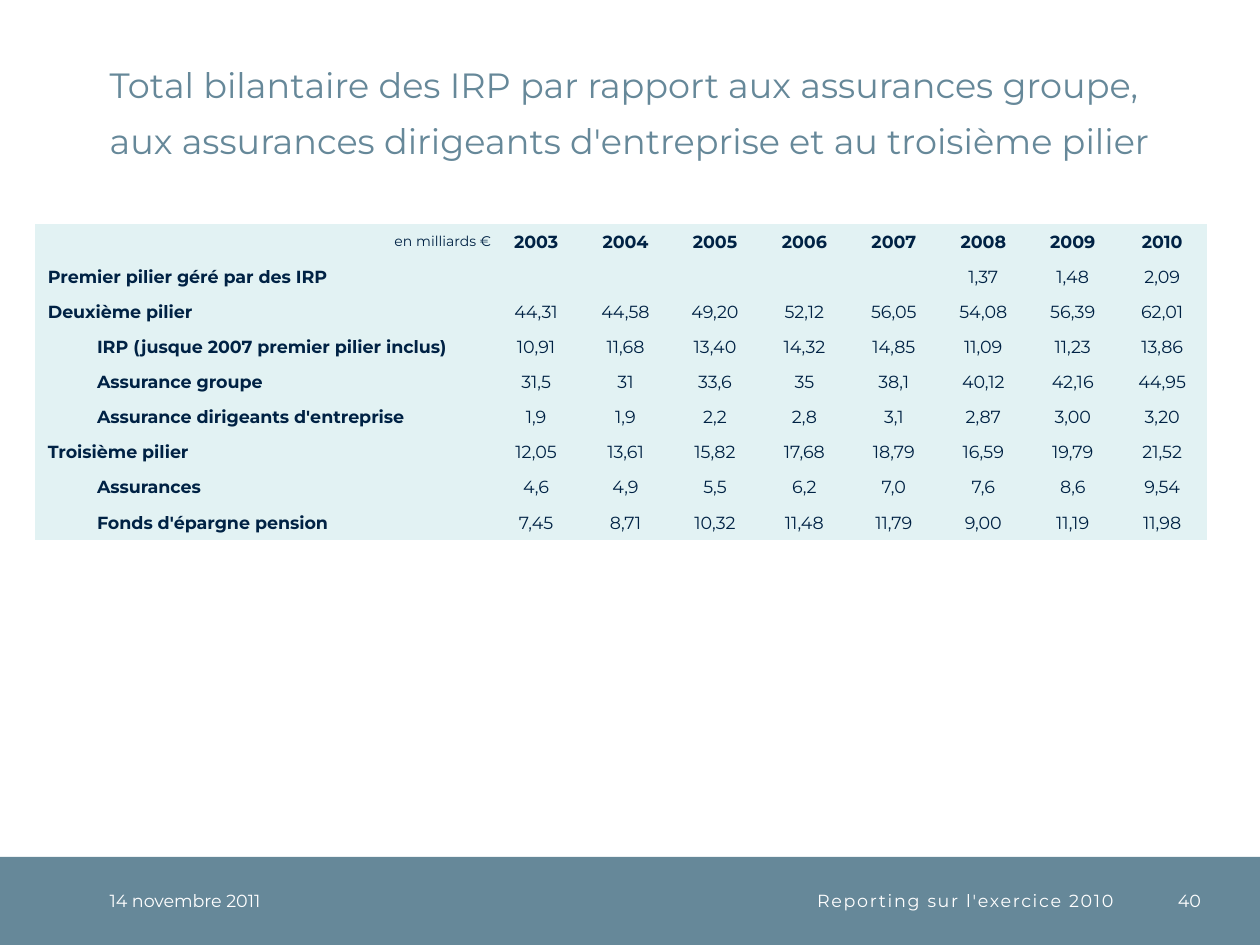
import dataclasses
import typing

import lxml.etree
import pptx
import pptx.dml.color
import pptx.enum.shapes
import pptx.enum.text
import pptx.oxml.ns
import pptx.util

RGBColor = pptx.dml.color.RGBColor
Align = pptx.enum.text.PP_ALIGN
Anchor = pptx.enum.text.MSO_ANCHOR

SLATE = RGBColor(0x66, 0x88, 0x99)
NAVY = RGBColor(0x00, 0x22, 0x44)
PALE = RGBColor(0xE2, 0xF2, 0xF3)
WHITE = RGBColor(0xFF, 0xFF, 0xFF)

FONT = "Montserrat"
WIDTH, HEIGHT = 10, 7.5
BAND_TOP, BAND_HEIGHT = 6.8, 0.7
LEFT = 0.87
LABEL_WIDTH, VALUE_WIDTH, ROW_HEIGHT = 3.62, 0.71, 0.279
NO_GRID = "{2D5ABB26-0587-4C30-8999-92F81FD0307C}"
INDENTS = (0.1, 0.49)
TITLE = ("Total bilantaire des IRP par rapport aux assurances groupe, "
         "aux assurances dirigeants d'entreprise et au troisième pilier")


@dataclasses.dataclass
class Footer:
    """A text in the band at the foot of the slide."""
    text: str
    left: float
    width: float
    align: Align = Align.RIGHT
    spacing: int = 0


@dataclasses.dataclass
class Row:
    """A table row: its label, indent level and space-separated values."""
    label: str
    level: int
    values: str


FOOTERS = [
    Footer("14 novembre 2011", LEFT, 1.77, Align.LEFT),
    Footer("Reporting sur l'exercice 2010", 2.64, 6.2, spacing=100),
    Footer("40", 9.04, 0.49),
]

YEARS = [str(year) for year in range(2003, 2011)]

ROWS = [
    Row("Premier pilier géré par des IRP", 0, "1,37 1,48 2,09"),
    Row("Deuxième pilier", 0, "44,31 44,58 49,20 52,12 56,05 54,08 56,39 62,01"),
    Row("IRP (jusque 2007 premier pilier inclus)", 1,
        "10,91 11,68 13,40 14,32 14,85 11,09 11,23 13,86"),
    Row("Assurance groupe", 1, "31,5 31 33,6 35 38,1 40,12 42,16 44,95"),
    Row("Assurance dirigeants d'entreprise", 1, "1,9 1,9 2,2 2,8 3,1 2,87 3,00 3,20"),
    Row("Troisième pilier", 0, "12,05 13,61 15,82 17,68 18,79 16,59 19,79 21,52"),
    Row("Assurances", 1, "4,6 4,9 5,5 6,2 7,0 7,6 8,6 9,54"),
    Row("Fonds d'épargne pension", 1, "7,45 8,71 10,32 11,48 11,79 9,00 11,19 11,98"),
]


def apply(target: typing.Any, **values: typing.Any) -> None:
    """Set each named attribute on the target."""
    for name, value in values.items():
        setattr(target, name, value)


def box(left: float, top: float, width: float, height: float) -> dict:
    """Turn inches into position and size attributes."""
    names = ("left", "top", "width", "height")
    return dict(zip(names, map(pptx.util.Inches, (left, top, width, height))))


def write(p: typing.Any, text: str, size: float, color: RGBColor,
          align: Align = Align.LEFT, bold: bool = False) -> typing.Any:
    """Write one formatted run in a paragraph."""
    p.alignment = align
    r = p.add_run()
    r.text = text
    apply(r.font, name=FONT, size=pptx.util.Pt(size), bold=bold)
    r.font.color.rgb = color
    return r


def prepare(tf: typing.Any, anchor: Anchor) -> typing.Any:
    """Clear the margins of a text frame and return its first paragraph."""
    apply(tf, margin_left=0, margin_right=0, margin_top=0, margin_bottom=0,
          word_wrap=True, vertical_anchor=anchor,
          auto_size=pptx.enum.text.MSO_AUTO_SIZE.NONE)
    return tf.paragraphs[0]


def add_title(s: typing.Any) -> None:
    """Place and fill the title placeholder."""
    sp = s.shapes.title
    apply(sp, **box(LEFT, 0.2, 8.63, 1.08))
    p = prepare(sp.text_frame, Anchor.BOTTOM)
    p.line_spacing = pptx.util.Pt(32)
    write(p, TITLE, 20, SLATE)


def add_band(s: typing.Any) -> None:
    """Draw the footer band and its texts."""
    sp = s.shapes.add_shape(pptx.enum.shapes.MSO_SHAPE.RECTANGLE,
                            **box(0, BAND_TOP, WIDTH, BAND_HEIGHT))
    sp.shadow.inherit = False
    sp.fill.solid()
    sp.fill.fore_color.rgb = SLATE
    sp.line.fill.background()
    for footer in FOOTERS:
        sp = s.shapes.add_textbox(**box(footer.left, BAND_TOP, footer.width, BAND_HEIGHT))
        p = prepare(sp.text_frame, Anchor.MIDDLE)
        r = write(p, footer.text, 10, WHITE, footer.align)
        if footer.spacing:
            r.font._element.set("spc", str(footer.spacing))


def fill_cell(cell: typing.Any, text: str, size: float = 10,
              align: Align = Align.CENTER, bold: bool = False,
              indent: float = 0) -> None:
    """Fill, format and write one table cell."""
    apply(cell, margin_left=0, margin_right=0, margin_top=0, margin_bottom=0,
          vertical_anchor=Anchor.MIDDLE)
    cell.fill.solid()
    cell.fill.fore_color.rgb = PALE
    p = cell.text_frame.paragraphs[0]
    if text:
        write(p, text, size, NAVY, align, bold)
    else:
        end = lxml.etree.SubElement(p._p, pptx.oxml.ns.qn("a:endParaRPr"))
        end.set("sz", str(size * 100))
    if indent:
        p._p.get_or_add_pPr().set("marL", str(pptx.util.Inches(indent)))


def add_table(s: typing.Any) -> None:
    """Draw the table of balance totals by pillar and year."""
    rows, cols = len(ROWS) + 1, len(YEARS) + 1
    table = s.shapes.add_table(rows, cols, **box(
        0.28, 1.78, LABEL_WIDTH + VALUE_WIDTH * len(YEARS), ROW_HEIGHT * rows)).table
    apply(table, first_row=False, horz_banding=False)
    table._tbl.tblPr.find(pptx.oxml.ns.qn("a:tableStyleId")).text = NO_GRID
    for i, column in enumerate(table.columns):
        column.width = pptx.util.Inches(VALUE_WIDTH if i else LABEL_WIDTH)
    for row in table.rows:
        row.height = pptx.util.Inches(ROW_HEIGHT)
    fill_cell(table.cell(0, 0), "en milliards €", 8, Align.RIGHT, indent=INDENTS[0])
    for col, year in enumerate(YEARS, 1):
        fill_cell(table.cell(0, col), year, bold=True)
    for i, row in enumerate(ROWS, 1):
        fill_cell(table.cell(i, 0), row.label, align=Align.LEFT, bold=True,
                  indent=INDENTS[row.level])
        values = row.values.split()
        values = [""] * (len(YEARS) - len(values)) + values
        for col, value in enumerate(values, 1):
            fill_cell(table.cell(i, col), value)


def main() -> None:
    """Build and save the slide."""
    prs = pptx.Presentation()
    apply(prs, slide_width=pptx.util.Inches(WIDTH), slide_height=pptx.util.Inches(HEIGHT))
    s = prs.slides.add_slide(prs.slide_layouts[5])
    add_band(s)
    add_title(s)
    add_table(s)
    prs.save("out.pptx")


if __name__ == "__main__":
    main()
